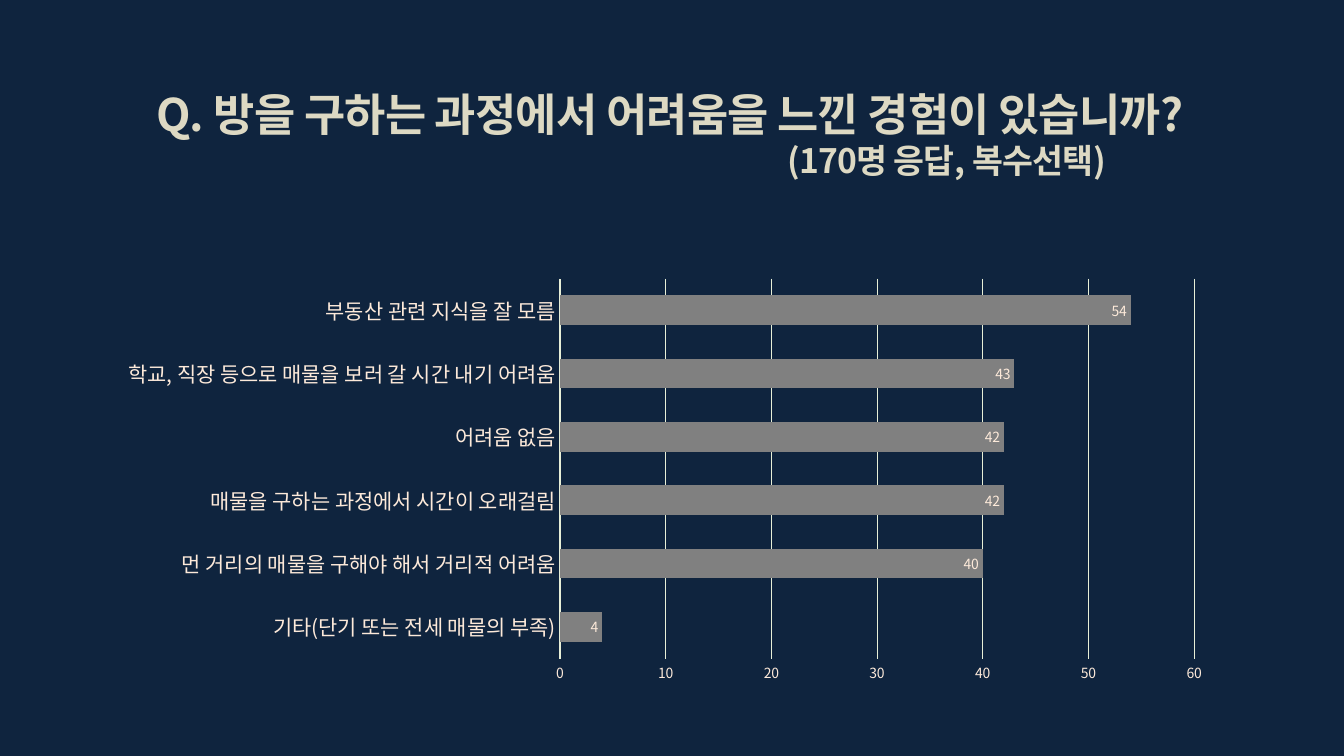
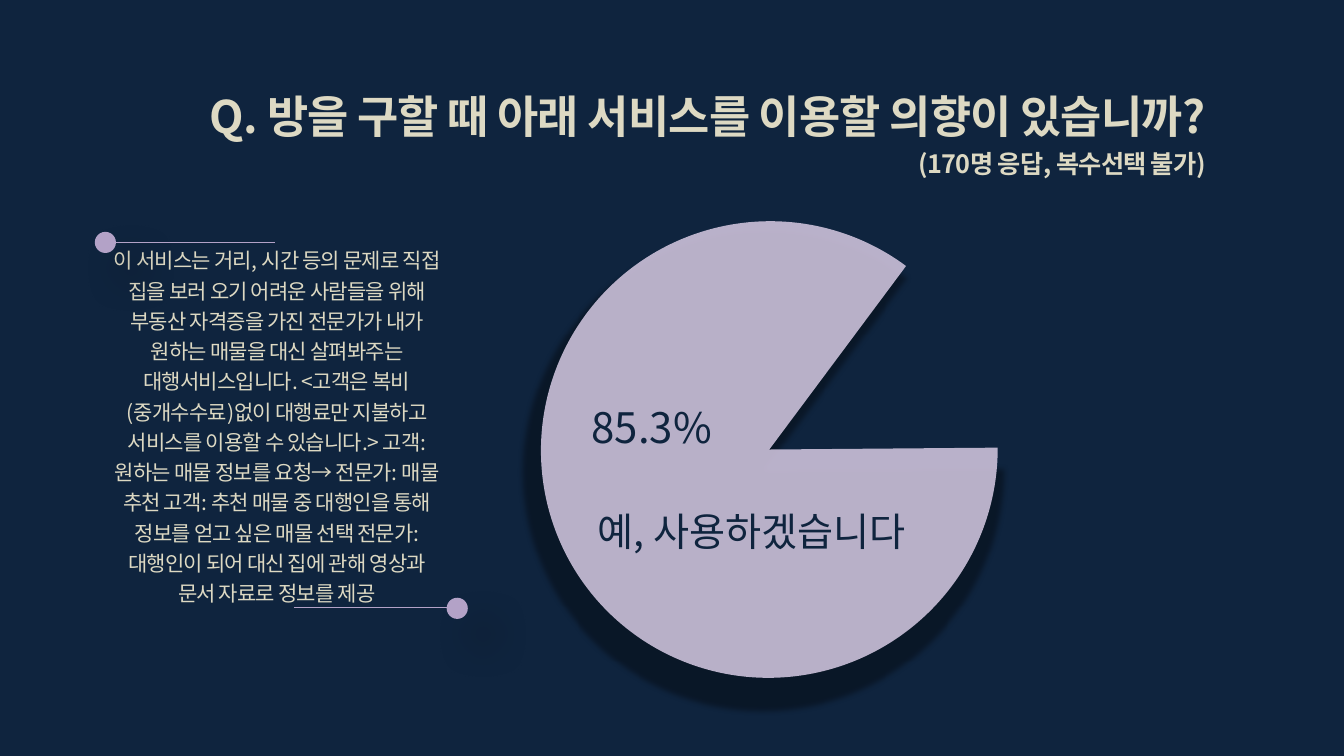
from lxml import etree
from pptx import Presentation
from pptx.chart.data import CategoryChartData
from pptx.dml.color import RGBColor
from pptx.enum.chart import XL_CHART_TYPE, XL_LABEL_POSITION, XL_TICK_MARK
from pptx.enum.shapes import MSO_CONNECTOR, MSO_SHAPE
from pptx.enum.text import MSO_ANCHOR, MSO_AUTO_SIZE, PP_ALIGN
from pptx.oxml import parse_xml
from pptx.oxml.ns import nsdecls, qn
from pptx.util import Pt

LEFT, CENTER, RIGHT = PP_ALIGN.LEFT, PP_ALIGN.CENTER, PP_ALIGN.RIGHT
TOP, MIDDLE = MSO_ANCHOR.TOP, MSO_ANCHOR.MIDDLE
FIXED = MSO_AUTO_SIZE.NONE
PIE, OVAL = MSO_SHAPE.PIE, MSO_SHAPE.OVAL
STRAIGHT = MSO_CONNECTOR.STRAIGHT
BAR = XL_CHART_TYPE.BAR_CLUSTERED
INSIDE_END = XL_LABEL_POSITION.INSIDE_END
NO_TICK = XL_TICK_MARK.NONE

EMU_PER_PX = 9144
TITLE_ONLY = 5
FONT = "Noto Sans CJK KR"
NAVY, SAND, LILAC, VIOLET = "0F243E", "DDD9C3", "CCC1DA", "B3A2C7"
PEACH, GRID, GRAY = "FDEADA", "E7EFD7", "808080"


def px(*lengths):
    return [length * EMU_PER_PX for length in lengths]


def rgb(color):
    return RGBColor.from_string(color)


def write(frame, text, size, color=SAND, bold=False, align=CENTER,
          spacing=1.0, before=0, indent=0, tracking=0):
    para = frame.paragraphs[0]
    if para.runs:
        para = frame.add_paragraph()
    para.alignment = align
    para.line_spacing = spacing
    para.space_before = Pt(before)
    if indent:
        properties = para._p.get_or_add_pPr()
        properties.set("marL", str(indent * EMU_PER_PX))
        properties.set("indent", "0")
    span = para.add_run()
    span.text = text
    span.font.name = FONT
    span.font.size = Pt(size)
    span.font.bold = bold
    span.font.color.rgb = rgb(color)
    properties = span.font._element
    etree.SubElement(properties, qn("a:ea")).set("typeface", FONT)
    if tracking:
        properties.set("spc", str(tracking))


def chart_font(font, size):
    font.name = FONT
    font.size = Pt(size)
    font.color.rgb = rgb(PEACH)


class Deck:
    def __init__(self):
        self.deck = Presentation()
        self.deck.slide_width, self.deck.slide_height = px(1333, 750)
        fill = self.deck.slide_master.background.fill
        fill.solid()
        fill.fore_color.rgb = rgb(NAVY)
        self.page = None

    def add_page(self):
        layout = self.deck.slide_layouts[TITLE_ONLY]
        self.page = self.deck.slides.add_slide(layout)

    def frame(self, box, anchor=MIDDLE, margin=0):
        frame = box.text_frame
        frame.word_wrap = True
        frame.auto_size = FIXED
        frame.vertical_anchor = anchor
        frame.margin_left, frame.margin_right = px(margin, margin)
        frame.margin_top, frame.margin_bottom = px(margin // 2, margin // 2)
        return frame

    def title(self, place, question, note, note_size, note_indent=0, **style):
        box = self.page.shapes.title
        box.left, box.top, box.width, box.height = px(*place)
        frame = self.frame(box)
        write(frame, question, 32, bold=True, tracking=-60, **style)
        write(frame, note, note_size, bold=True, tracking=-60,
              indent=note_indent, **style)

    def text_box(self, place, anchor=MIDDLE, margin=0):
        box = self.page.shapes.add_textbox(*px(*place))
        return self.frame(box, anchor, margin)

    def shape(self, kind, place, color, blur, distance, scale=100, alpha=100):
        shape = self.page.shapes.add_shape(kind, *px(*place))
        shape.fill.solid()
        shape.fill.fore_color.rgb = rgb(color)
        shape.line.fill.background()
        if alpha < 100:
            tint = shape._element.spPr.find(".//" + qn("a:srgbClr"))
            etree.SubElement(tint, qn("a:alpha")).set("val", str(alpha * 1000))
        shape._element.spPr.append(parse_xml(
            f'<a:effectLst {nsdecls("a")}>'
            f'<a:outerShdw blurRad="{Pt(blur)}" dist="{Pt(distance)}" dir="2700000" '
            f'sx="{scale * 1000}" sy="{scale * 1000}" algn="t" rotWithShape="0">'
            '<a:srgbClr val="000000"><a:alpha val="40000"/></a:srgbClr>'
            '</a:outerShdw></a:effectLst>'))
        return shape

    def line(self, start_x, end_x, y):
        line = self.page.shapes.add_connector(STRAIGHT, *px(start_x, y, end_x, y))
        line.line.color.rgb = rgb(VIOLET)
        line.line.width = Pt(0.5)
        etree.SubElement(line._element.spPr, qn("a:effectLst"))

    def dotted_rule(self, left, top, end_x):
        self.shape(OVAL, (left, top, 21, 21), VIOLET, 30, 26)
        self.line(left, end_x, top + 10)

    def bar_chart(self, place, answers, plot_area):
        data = CategoryChartData()
        data.categories = list(answers)
        data.add_series("Series 1", list(answers.values()))
        chart = self.page.shapes.add_chart(BAR, *px(*place), data).chart
        chart.has_legend = False
        chart.has_title = False
        chart_font(chart.font, 10)

        categories, values = chart.category_axis, chart.value_axis
        for axis in (categories, values):
            axis.major_tick_mark = axis.minor_tick_mark = NO_TICK
        chart_font(categories.tick_labels.font, 15)
        categories.format.line.color.rgb = rgb(GRID)
        categories.format.line.width = Pt(1)
        chart_font(values.tick_labels.font, 10)
        values.format.line.fill.background()
        values.minimum_scale, values.maximum_scale = 0, 60
        values.major_unit = 10
        grid = values.major_gridlines.format.line
        grid.color.rgb = rgb(GRID)
        grid.width = Pt(0.75)

        plot = chart.plots[0]
        plot.vary_by_categories = False
        plot.gap_width, plot.overlap = 115, -20
        fill = plot.series[0].format.fill
        fill.solid()
        fill.fore_color.rgb = rgb(GRAY)
        plot.has_data_labels = True
        labels = plot.data_labels
        labels.show_value = True
        labels.position = INSIDE_END
        chart_font(labels.font, 10)

        area = chart._chartSpace.chart.plotArea
        for old in area.findall(qn("c:layout")):
            area.remove(old)
        sizes = "".join(f'<c:{key} val="{value}"/>'
                        for key, value in zip("xywh", plot_area))
        area.insert(0, parse_xml(
            f'<c:layout {nsdecls("c")}><c:manualLayout>'
            '<c:layoutTarget val="inner"/><c:xMode val="edge"/>'
            f'<c:yMode val="edge"/>{sizes}</c:manualLayout></c:layout>'))


def difficulty_page(deck):
    deck.add_page()
    deck.title((109, 62, 1111, 141),
               "Q. 방을 구하는 과정에서 어려움을 느낀 경험이 있습니까?",
               "(170명 응답, 복수선택)", 24, note_indent=549)
    deck.bar_chart((127, 268, 1090, 419), {
        "기타(단기 또는 전세 매물의 부족)": 4,
        "먼 거리의 매물을 구해야 해서 거리적 어려움": 40,
        "매물을 구하는 과정에서 시간이 오래걸림": 42,
        "어려움 없음": 42,
        "학교, 직장 등으로 매물을 보러 갈 시간 내기 어려움": 43,
        "부동산 관련 지식을 잘 모름": 54,
    }, (0.39, 0.02, 0.58, 0.9))


def intention_page(deck):
    deck.add_page()
    deck.title((46, 77, 1150, 100),
               "Q. 방을 구할 때 아래 서비스를 이용할 의향이 있습니까?",
               "(170명 응답, 복수선택 불가)", 18, align=RIGHT, spacing=1.2)
    write(deck.text_box((110, 176, 329, 490)),
          "이 서비스는 거리, 시간 등의 문제로 직접 집을 보러 오기 어려운 사람들을 "
          "위해 부동산 자격증을 가진 전문가가 내가 원하는 매물을 대신 살펴봐주는 "
          "대행서비스입니다. <고객은 복비(중개수수료)없이 대행료만 지불하고 서비스를 "
          "이용할 수 있습니다.> 고객: 원하는 매물 정보를 요청→ 전문가: 매물 추천 "
          "고객: 추천 매물 중 대행인을 통해 정보를 얻고 싶은 매물 선택 전문가: "
          "대행인이 되어 대신 집에 관해 영상과 문서 자료로 정보를 제공",
          15, spacing=1.2, tracking=-60)

    pie = deck.shape(PIE, (537, 219, 452, 454), LILAC, 4, 5, scale=105, alpha=90)
    pie.rotation = 45.2
    pie.adjustments[0], pie.adjustments[1] = 188.6, 156.89
    answer = deck.text_box((577, 393, 337, 155), anchor=TOP, margin=10)
    write(answer, "85.3%", 30, NAVY, align=LEFT)
    write(answer, "예, 사용하겠습니다", 28, NAVY, before=40)

    deck.dotted_rule(443, 593, 292)
    deck.dotted_rule(94, 230, 273)


def main():
    deck = Deck()
    difficulty_page(deck)
    intention_page(deck)
    deck.deck.save("out.pptx")


if __name__ == "__main__":
    main()
